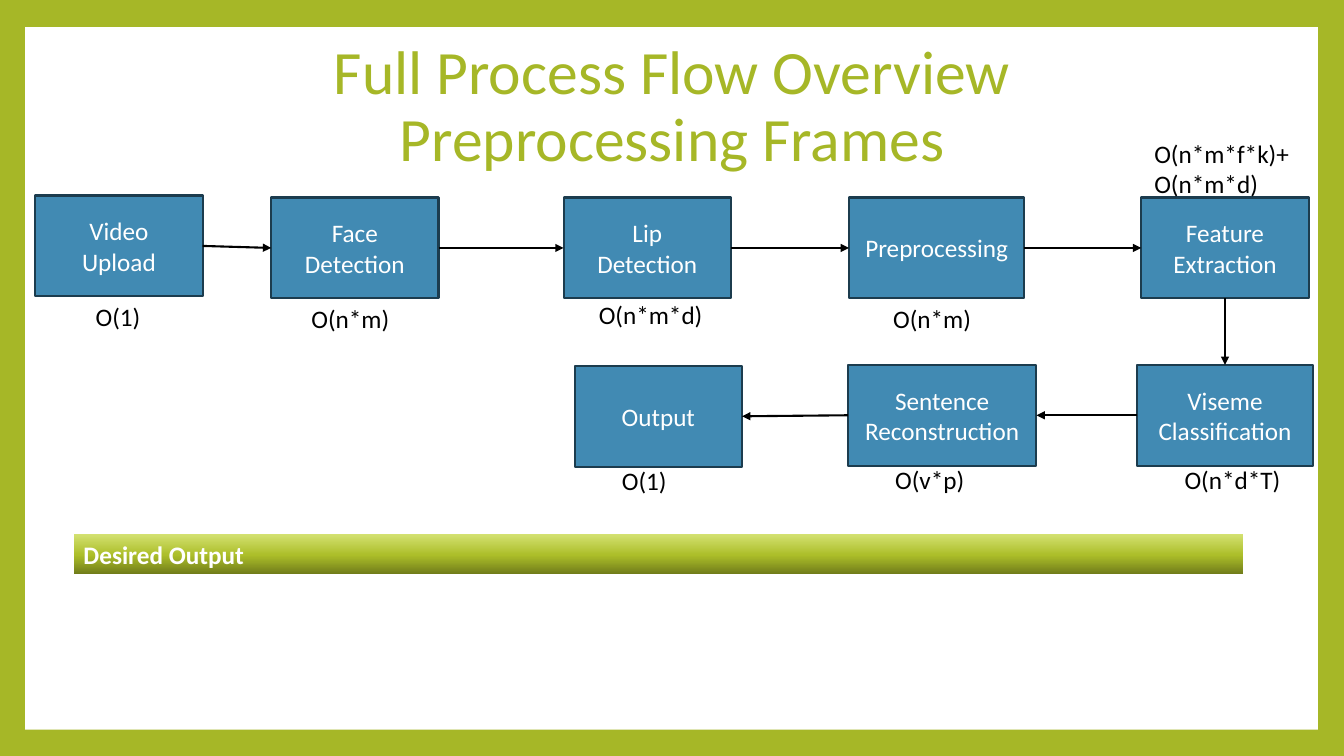
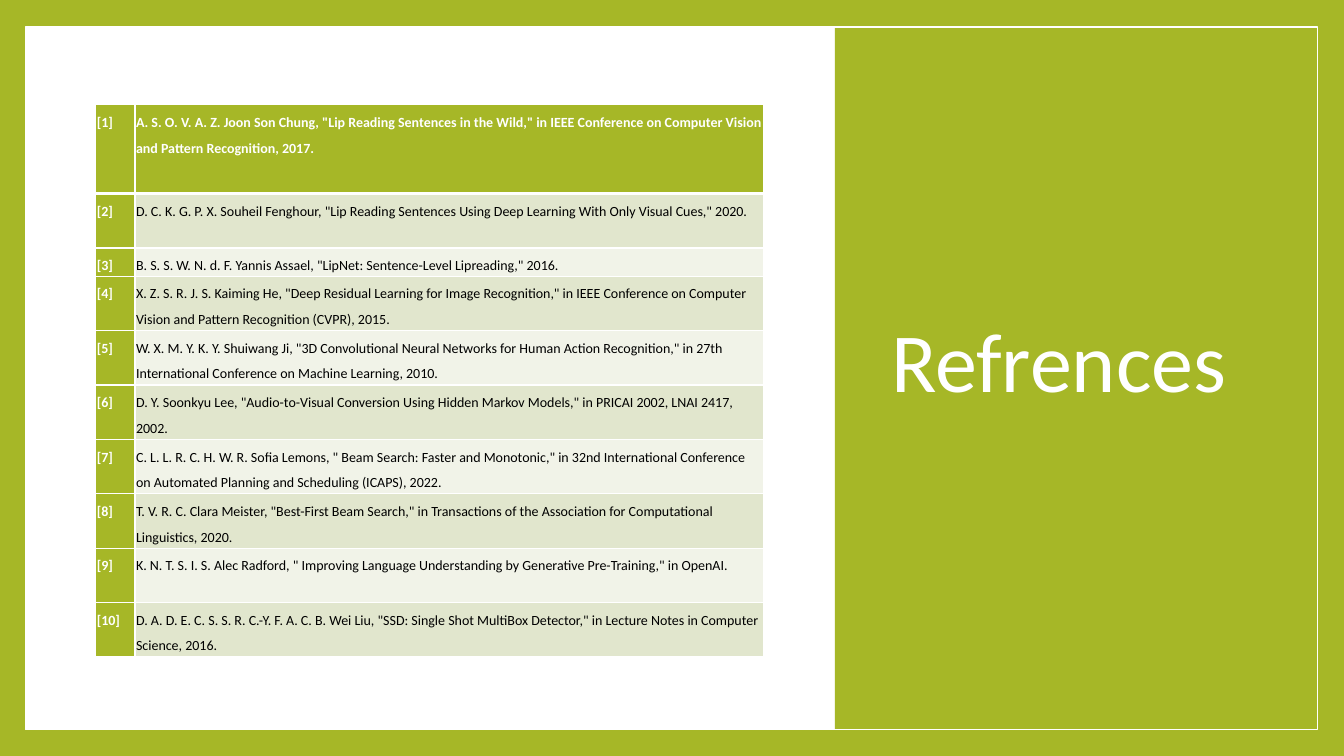
from copy import deepcopy
from dataclasses import dataclass
from itertools import pairwise

from lxml.etree import SubElement
from pptx import Presentation
from pptx.dml.color import RGBColor
from pptx.enum.shapes import MSO_CONNECTOR, MSO_SHAPE
from pptx.enum.text import MSO_ANCHOR, MSO_AUTO_SIZE, PP_ALIGN
from pptx.oxml.ns import qn
from pptx.util import Emu, Pt

EMU_PER_PX = 9144
TOP, LEFT, BOTTOM, RIGHT = range(4)


@dataclass(frozen=True)
class Theme:
    font: str = "Calibri"
    green: str = "A6B727"
    white: str = "FFFFFF"
    black: str = "000000"
    blue: str = "418AB3"
    navy: str = "1C3C4E"
    bands: tuple = ("F1F3E8", "E1E6CD")
    bar_stops: tuple = ((0, "6F7B1A"), (0.48, "ACBE29"), (1, "D3E171"))
    title_size: int = 44
    closing_size: int = 60
    body_size: int = 18
    table_size: int = 10


THEME = Theme()


def px(*lengths):
    return [Emu(length * EMU_PER_PX) for length in lengths]


def rgb(code):
    return RGBColor.from_string(code)


class SlideBuilder:
    def __init__(self, width, height):
        self.deck = Presentation()
        self.deck.slide_width, self.deck.slide_height = px(width, height)
        self.page = None

    def new_page(self):
        """Start a slide with the green border and white panel."""
        self.page = self.deck.slides.add_slide(self.deck.slide_layouts[6])
        background = self.page.background.fill
        background.solid()
        background.fore_color.rgb = rgb(THEME.green)
        self.rectangle((25, 27, 1282, 697), fill=THEME.white)

    def set_text(self, frame, text, size, color, align=PP_ALIGN.LEFT,
                 anchor=MSO_ANCHOR.TOP, bold=False, spacing=None, after=None):
        frame.text = text
        frame.vertical_anchor = anchor
        for para in frame.paragraphs:
            para.alignment = align
            para.line_spacing = spacing
            if after is not None:
                para.space_after = Pt(after)
            para.font.name = THEME.font
            para.font.size = Pt(size)
            para.font.bold = bold
            para.font.color.rgb = rgb(color)

    def rectangle(self, place, fill=None, line=None, weight=1):
        box = self.page.shapes.add_shape(MSO_SHAPE.RECTANGLE, *px(*place))
        box.shadow.inherit = False
        if fill:
            box.fill.solid()
            box.fill.fore_color.rgb = rgb(fill)
        else:
            box.fill.background()
        if line:
            box.line.color.rgb = rgb(line)
            box.line.width = Pt(weight)
        else:
            box.line.fill.background()
        return box

    def title(self, place, text, size, color, align):
        box = self.page.shapes.add_textbox(*px(*place))
        box.text_frame.word_wrap = True
        self.set_text(box.text_frame, text, size, color, align,
                      MSO_ANCHOR.MIDDLE, spacing=0.9)

    def step(self, place, text):
        box = self.rectangle(place, THEME.blue, THEME.navy, 1.5)
        self.set_text(box.text_frame, text, THEME.body_size, THEME.white,
                      PP_ALIGN.CENTER, MSO_ANCHOR.MIDDLE)
        return box

    def label(self, place, text):
        box = self.page.shapes.add_textbox(*px(*place))
        box.text_frame.word_wrap = False
        box.text_frame.auto_size = MSO_AUTO_SIZE.SHAPE_TO_FIT_TEXT
        self.set_text(box.text_frame, text, THEME.body_size, THEME.black)

    def arrow(self, start, start_side, end, end_side):
        link = self.page.shapes.add_connector(MSO_CONNECTOR.STRAIGHT, 0, 0, 0, 0)
        link.begin_connect(start, start_side)
        link.end_connect(end, end_side)
        link.line.color.rgb = rgb(THEME.black)
        link.line.width = Pt(1.5)
        properties = link._element.spPr
        SubElement(properties.find(qn("a:ln")), qn("a:tailEnd"), type="triangle")
        SubElement(properties, qn("a:effectLst"))

    def heading_bar(self, place, text):
        bar = self.rectangle(place)
        bar.fill.gradient()
        bar.fill.gradient_angle = 90
        stop_list = bar._element.spPr.find(qn("a:gradFill")).find(qn("a:gsLst"))
        stop_list.append(deepcopy(stop_list[0]))
        for stop, (position, color) in zip(bar.fill.gradient_stops, THEME.bar_stops):
            stop.position = position
            stop.color.rgb = rgb(color)
        self.set_text(bar.text_frame, text, THEME.body_size, THEME.white, bold=True)

    def cell_borders(self, cell, top, bottom):
        properties = cell._tc.get_or_add_tcPr()
        for side, weight in (("L", 1), ("R", 1), ("T", top), ("B", bottom)):
            line = SubElement(properties, qn(f"a:ln{side}"), w=str(Pt(weight)))
            fill = SubElement(line, qn("a:solidFill"))
            SubElement(fill, qn("a:srgbClr"), val=THEME.white)

    def reference_table(self, place, columns, heights, references):
        """Number the references; the first row and column are emphasised."""
        table = self.page.shapes.add_table(
            len(references), len(columns), *px(*place)).table
        table.horz_banding = False
        for column, width in zip(table.columns, px(*columns)):
            column.width = width
        for number, reference in enumerate(references):
            table.rows[number].height = px(heights[number])[0]
            for index, text in enumerate((f"[{number + 1}]", reference)):
                cell = table.cell(number, index)
                strong = number == 0 or index == 0
                (cell.margin_left, cell.margin_right,
                 cell.margin_top, cell.margin_bottom) = px(1, 1, 1, 1)
                self.cell_borders(cell, 3 if number == 1 else 1,
                                  3 if number == 0 else 1)
                cell.fill.solid()
                cell.fill.fore_color.rgb = rgb(
                    THEME.green if strong else THEME.bands[number % 2])
                self.set_text(cell.text_frame, text, THEME.table_size,
                              THEME.white if strong else THEME.black,
                              bold=strong, spacing=1.5, after=6)


# Step text, box (left, top, width), cost, cost label (left, top, width, height)
STEPS = [
    ("Video\nUpload", (35, 194, 166), "O(1)", (85, 294, 65, 40)),
    ("Face\nDetection", (269, 196, 166), "O(n*m)", (299, 296, 101, 40)),
    ("Lip\nDetection", (559, 196, 166), "O(n*m*d)", (584, 292, 128, 40)),
    ("Preprocessing", (842, 196, 174), "O(n*m)", (876, 296, 101, 40)),
    ("Feature\nExtraction", (1132, 196, 166), "O(n*m*f*k)+\nO(n*m*d)",
     (1135, 132, 161, 71)),
    ("Viseme Classification", (1128, 362, 174), "O(n*d*T)", (1165, 456, 121, 40)),
    ("Sentence\nReconstruction", (841, 362, 187), "O(v*p)", (878, 456, 92, 40)),
    ("Output", (570, 363, 166), "O(1)", (607, 457, 65, 40)),
]
STEP_HEIGHT = 100
ROUTE = [(RIGHT, LEFT)] * 4 + [(BOTTOM, TOP)] + [(LEFT, RIGHT)] * 2

REFERENCES = [
    'A. S. O. V. A. Z. Joon Son Chung, "Lip Reading Sentences in the Wild," in IEEE '
    'Conference on Computer Vision and Pattern Recognition, 2017.',
    'D. C. K. G. P. X. Souheil Fenghour, "Lip Reading Sentences Using Deep Learning '
    'With Only Visual Cues," 2020.',
    'B. S. S. W. N. d. F. Yannis Assael, "LipNet: Sentence-Level Lipreading," 2016.',
    'X. Z. S. R. J. S. Kaiming He, "Deep Residual Learning for Image Recognition," in '
    'IEEE Conference on Computer Vision and Pattern Recognition (CVPR), 2015.',
    'W. X. M. Y. K. Y. Shuiwang Ji, "3D Convolutional Neural Networks for Human Action '
    'Recognition," in 27th International Conference on Machine Learning, 2010.',
    'D. Y. Soonkyu Lee, "Audio-to-Visual Conversion Using Hidden Markov Models," in '
    'PRICAI 2002, LNAI 2417, 2002.',
    'C. L. L. R. C. H. W. R. Sofia Lemons, " Beam Search: Faster and Monotonic," in '
    '32nd International Conference on Automated Planning and Scheduling (ICAPS), 2022.',
    'T. V. R. C. Clara Meister, "Best-First Beam Search," in Transactions of the '
    'Association for Computational Linguistics, 2020.',
    'K. N. T. S. I. S. Alec Radford, " Improving Language Understanding by Generative '
    'Pre-Training," in OpenAI.',
    'D. A. D. E. C. S. S. R. C.-Y. F. A. C. B. Wei Liu, "SSD: Single Shot MultiBox '
    'Detector," in Lecture Notes in Computer Science, 2016.',
]
ROW_HEIGHTS = [88, 54, 28] + [54] * 7


def process_flow(builder):
    builder.new_page()
    builder.title((127, 29, 1080, 156),
                  "Full Process Flow Overview\nPreprocessing Frames",
                  THEME.title_size, THEME.green, PP_ALIGN.CENTER)
    boxes = [builder.step((*place, STEP_HEIGHT), text) for text, place, _, _ in STEPS]
    for (start, end), (start_side, end_side) in zip(pairwise(boxes), ROUTE):
        builder.arrow(start, start_side, end, end_side)
    builder.heading_bar((73, 530, 1160, 40), "Desired Output")
    for _, _, cost, place in STEPS:
        builder.label(place, cost)


def references(builder):
    builder.new_page()
    builder.rectangle((828, 0, 505, 750), fill=THEME.green)
    builder.title((874, 67, 391, 591), "Refrences",
                  THEME.closing_size, THEME.white, PP_ALIGN.LEFT)
    builder.rectangle((25, 27, 1282, 697), line=THEME.white)
    builder.reference_table((95, 104, 662, sum(ROW_HEIGHTS)), (39, 623),
                            ROW_HEIGHTS, REFERENCES)


def main():
    builder = SlideBuilder(1333, 750)
    process_flow(builder)
    references(builder)
    builder.deck.save("out.pptx")


if __name__ == "__main__":
    main()
